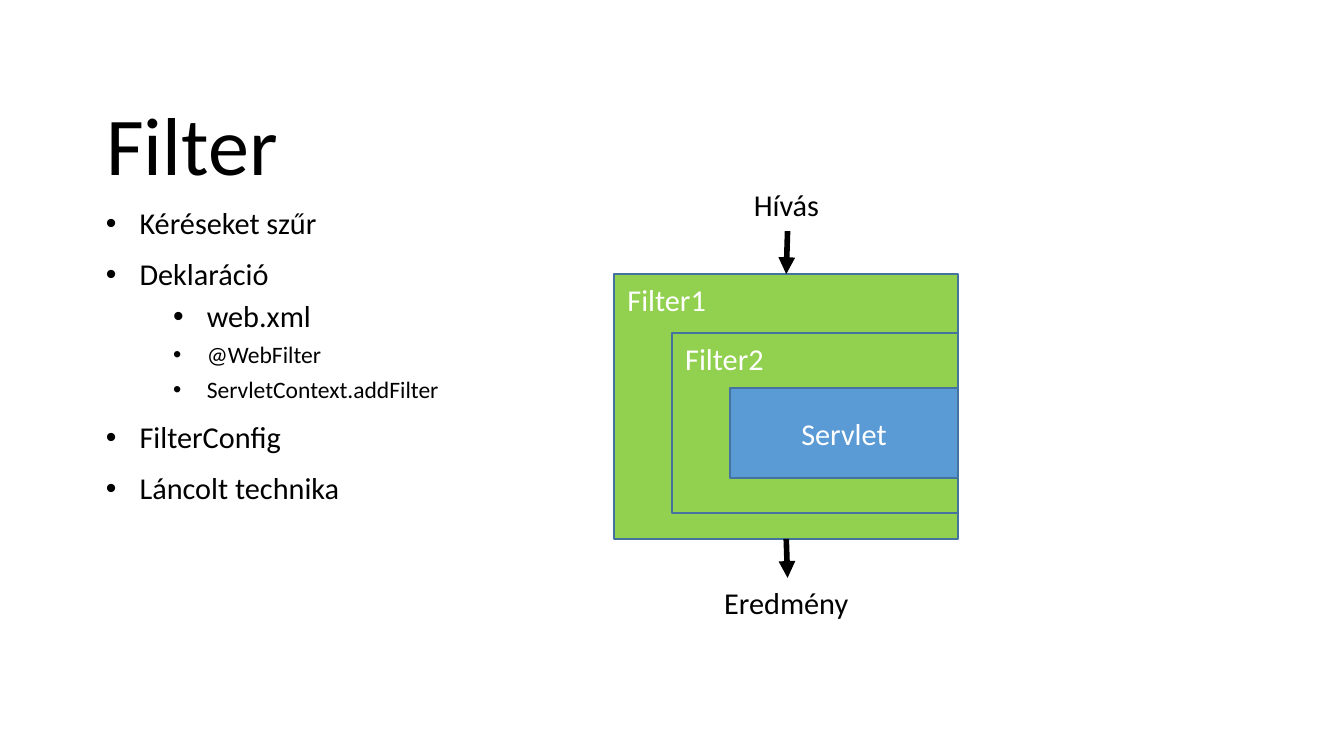
from lxml import etree
from pptx import Presentation
from pptx import util as u
from pptx.dml import color
from pptx.enum import shapes, text
from pptx.oxml import ns

FONT = "Calibri"
BODY_SIZE = 16.2
SMALL_SIZE = 12.6
SLIDE_WIDTH = 10
MARGIN = 0.69
CONTENT_WIDTH = 8.62
NEST_LEFT = 4.57
NEST_STEP = 0.43
NEST_RIGHT = 7.13
AXIS = 5.85
BULLETS = [
    ("Kéréseket szűr", 0, BODY_SIZE),
    ("Deklaráció", 0, BODY_SIZE),
    ("web.xml", 1, BODY_SIZE),
    ("@WebFilter", 1, SMALL_SIZE),
    ("ServletContext.addFilter", 1, SMALL_SIZE),
    ("FilterConfig", 0, BODY_SIZE),
    ("Láncolt technika", 0, BODY_SIZE),
]
LAYERS = [
    ("Filter1", 2.04, 1.97, "92D050"),
    ("Filter2", 2.48, 1.34, "92D050"),
    ("Servlet", 2.89, 0.67, "5B9BD5"),
]


def rgb(value):
    return color.RGBColor.from_string(value)


def inches(*values):
    return [u.Inches(value) for value in values]


def format_para(para, size, ink="000000", align=text.PP_ALIGN.LEFT):
    para.alignment = align
    for span in para.runs:
        span.font.name = FONT
        span.font.size = u.Pt(size)
        span.font.color.rgb = rgb(ink)


def set_title(page, words):
    title = page.shapes.title
    title.left, title.top, title.width, title.height = inches(MARGIN, 0.56, CONTENT_WIDTH, 1.09)
    frame = title.text_frame
    frame.text = words
    frame.auto_size = text.MSO_AUTO_SIZE.NONE
    frame.vertical_anchor = text.MSO_ANCHOR.MIDDLE
    frame.paragraphs[0].line_spacing = 0.9
    format_para(frame.paragraphs[0], 44)


def add_bullet(para, words, level, size):
    para.text = words
    para.level = level
    para.line_spacing = 0.9
    para.space_before = u.Pt(5 if level else 10)
    format_para(para, size)
    props = para._p.get_or_add_pPr()
    props.set("marL", str(u.Inches(0.25 + 0.5 * level)))
    props.set("indent", str(u.Inches(-0.25)))
    etree.SubElement(props, ns.qn("a:buFont"), typeface="Arial")
    etree.SubElement(props, ns.qn("a:buChar"), char="•")


def add_bullets(page, items):
    box = page.shapes.add_textbox(*inches(MARGIN, 1.5, CONTENT_WIDTH, 3.57))
    frame = box.text_frame
    frame.word_wrap = True
    for index, item in enumerate(items):
        para = frame.add_paragraph() if index else frame.paragraphs[0]
        add_bullet(para, *item)


def add_layer(page, depth, words, top, height, fill):
    left = NEST_LEFT + depth * NEST_STEP
    box = page.shapes.add_shape(
        shapes.MSO_SHAPE.RECTANGLE, *inches(left, top, NEST_RIGHT - left, height))
    box.shadow.inherit = False
    box.fill.solid()
    box.fill.fore_color.rgb = rgb(fill)
    box.line.color.rgb = rgb("43739E")
    box.line.width = u.Pt(1)
    innermost = depth == len(LAYERS) - 1
    frame = box.text_frame
    frame.text = words
    frame.vertical_anchor = text.MSO_ANCHOR.MIDDLE if innermost else text.MSO_ANCHOR.TOP
    align = text.PP_ALIGN.CENTER if innermost else text.PP_ALIGN.LEFT
    format_para(frame.paragraphs[0], BODY_SIZE, "FFFFFF", align)


def add_arrow(page, start, end):
    arrow = page.shapes.add_connector(
        shapes.MSO_CONNECTOR.STRAIGHT, *inches(*start, *end))
    arrow.line.color.rgb = rgb("000000")
    arrow.line.width = u.Pt(3)
    etree.SubElement(arrow.line._get_or_add_ln(), ns.qn("a:tailEnd"), type="triangle")
    etree.SubElement(arrow._element.spPr, ns.qn("a:effectLst"))


def add_label(page, words, left, top, width):
    box = page.shapes.add_textbox(*inches(left, top, width, 0.37))
    frame = box.text_frame
    frame.text = words
    frame.word_wrap = False
    frame.auto_size = text.MSO_AUTO_SIZE.SHAPE_TO_FIT_TEXT
    format_para(frame.paragraphs[0], BODY_SIZE)


def main():
    deck = Presentation()
    deck.slide_width, deck.slide_height = inches(SLIDE_WIDTH, SLIDE_WIDTH * 9 / 16)
    page = deck.slides.add_slide(deck.slide_layouts.get_by_name("Title Only"))
    set_title(page, "Filter")
    add_bullets(page, BULLETS)
    for depth, layer in enumerate(LAYERS):
        add_layer(page, depth, *layer)
    add_arrow(page, (AXIS + 0.01, 1.72), (AXIS, 2.04))
    add_arrow(page, (AXIS, 4.01), (AXIS + 0.01, 4.3))
    add_label(page, "Hívás", 5.51, 1.34, 0.69)
    add_label(page, "Eredmény", 5.29, 4.3, 1.13)
    deck.save("out.pptx")


if __name__ == "__main__":
    main()
